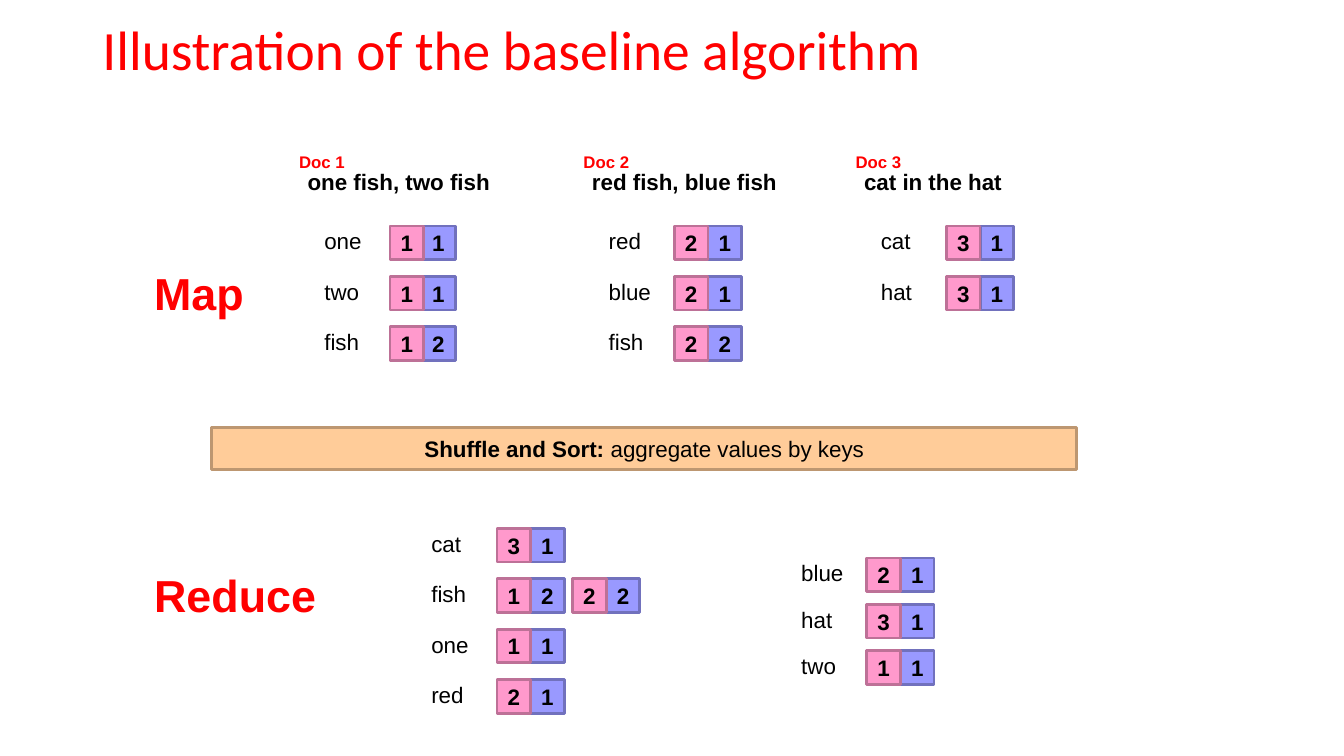
from dataclasses import dataclass

from pptx import Presentation
from pptx.dml.color import RGBColor
from pptx.enum.shapes import MSO_SHAPE
from pptx.enum.text import MSO_ANCHOR, MSO_AUTO_SIZE, PP_ALIGN
from pptx.util import Pt

RECTANGLE = MSO_SHAPE.RECTANGLE
MIDDLE = MSO_ANCHOR.MIDDLE
NO_AUTOFIT = MSO_AUTO_SIZE.NONE
LEFT, CENTER = PP_ALIGN.LEFT, PP_ALIGN.CENTER


@dataclass(frozen=True)
class Theme:
    red: RGBColor = RGBColor.from_string("FF0000")
    black: RGBColor = RGBColor.from_string("000000")
    pink: RGBColor = RGBColor.from_string("FF99CC")
    pink_edge: RGBColor = RGBColor.from_string("BD7197")
    blue: RGBColor = RGBColor.from_string("9999FF")
    blue_edge: RGBColor = RGBColor.from_string("7171BD")
    orange: RGBColor = RGBColor.from_string("FFCC99")
    orange_edge: RGBColor = RGBColor.from_string("BD9771")
    title_font: str = "Calibri"
    body_font: str = "Arial"
    title_size: float = 39.6
    phase_size: int = 32
    body_size: int = 16
    doc_size: int = 12
    edge_width: int = 2


theme = Theme()
deck = Presentation()
deck.slide_width, deck.slide_height = Pt(960), Pt(540)
page = deck.slides.add_slide(deck.slide_layouts[5])


def add_label(text, left, top, width, height, size=theme.body_size,
              color=theme.black, bold=False):
    box = page.shapes.add_textbox(Pt(left), Pt(top), Pt(width), Pt(height))
    box.text_frame.word_wrap = False
    para = box.text_frame.paragraphs[0]
    para.text = text
    para.font.name, para.font.size = theme.body_font, Pt(size)
    para.font.bold, para.font.color.rgb = bold, color


def add_box(text, left, top, width, height, fill, edge):
    """Draw a bordered rectangle with bold centred text; return its paragraph."""
    box = page.shapes.add_shape(RECTANGLE, Pt(left), Pt(top), Pt(width), Pt(height))
    box.shadow.inherit = False
    box.fill.solid()
    box.fill.fore_color.rgb = fill
    box.line.color.rgb, box.line.width = edge, Pt(theme.edge_width)
    frame = box.text_frame
    frame.vertical_anchor = MIDDLE
    frame.margin_left = frame.margin_right = 0
    para = frame.paragraphs[0]
    para.alignment = CENTER
    para.add_run().text = text
    para.font.name, para.font.size = theme.body_font, Pt(theme.body_size)
    para.font.bold, para.font.color.rgb = True, theme.black
    return para


# Title
title = page.shapes.title
title.left, title.top, title.width, title.height = Pt(66), Pt(17), Pt(828), Pt(41)
title.text_frame.auto_size = NO_AUTOFIT
title.text_frame.vertical_anchor = MIDDLE
para = title.text_frame.paragraphs[0]
para.text = "Illustration of the baseline algorithm"
para.alignment, para.line_spacing = LEFT, 0.9
para.font.name, para.font.size = theme.title_font, Pt(theme.title_size)
para.font.color.rgb = theme.red

# Phase names
for phase, top, width in (("Map", 186, 79), ("Reduce", 402, 131)):
    add_label(phase, 103, top, width, 46, theme.phase_size, theme.red, bold=True)

# Input documents
MAP_LEFTS = (224.6, 427.7, 622.1)
documents = (("one fish, two fish", 147), ("red fish, blue fish", 148),
             ("cat in the hat", 114.5))
for number, (left, (sentence, width)) in enumerate(zip(MAP_LEFTS, documents), 1):
    add_label(sentence, left - 12, 116.6, width, 26.6, bold=True)
    add_label(f"Doc {number}", left - 18, 105, 47.5, 21.6, theme.doc_size,
              theme.red, bold=True)

# Postings: each word is followed by (document, count) pairs
WORD_WIDTHS = {"one": 41, "two": 39.6, "fish": 39.6, "red": 38,
               "blue": 44.6, "cat": 36, "hat": 36.7}
CELL = 24
PAIR_STEP = 54
columns = (  # left, top, row step, count offset, postings
    (MAP_LEFTS[0], 159, 36, 22.5,
     (("one", [(1, 1)]), ("two", [(1, 1)]), ("fish", [(1, 2)]))),
    (MAP_LEFTS[1], 159, 36, CELL,
     (("red", [(2, 1)]), ("blue", [(2, 1)]), ("fish", [(2, 2)]))),
    (MAP_LEFTS[2], 159, 36, CELL,
     (("cat", [(3, 1)]), ("hat", [(3, 1)]))),
    (301, 375, 36, CELL,
     (("cat", [(3, 1)]), ("fish", [(1, 2), (2, 2)]),
      ("one", [(1, 1)]), ("red", [(2, 1)]))),
    (565.2, 396.2, 33.1, CELL,
     (("blue", [(2, 1)]), ("hat", [(3, 1)]), ("two", [(1, 1)]))),
)
for left, first_top, step, count_offset, postings in columns:
    for row, (word, pairs) in enumerate(postings):
        top = first_top + row * step
        add_label(word, left, top, WORD_WIDTHS[word], 26.6)
        for index, (document, count) in enumerate(pairs, 1):
            cell_left, cell_top = left + index * PAIR_STEP, top + 2.4
            add_box(str(count), cell_left + count_offset, cell_top, CELL, CELL,
                    theme.blue, theme.blue_edge)
            add_box(str(document), cell_left, cell_top, CELL, CELL,
                    theme.pink, theme.pink_edge)

# Shuffle bar
shuffle = add_box("Shuffle and Sort:", 151.2, 305.5, 618, 30,
                  theme.orange, theme.orange_edge)
span = shuffle.add_run()
span.text = " aggregate values by keys"
span.font.bold = False

deck.save("out.pptx")
